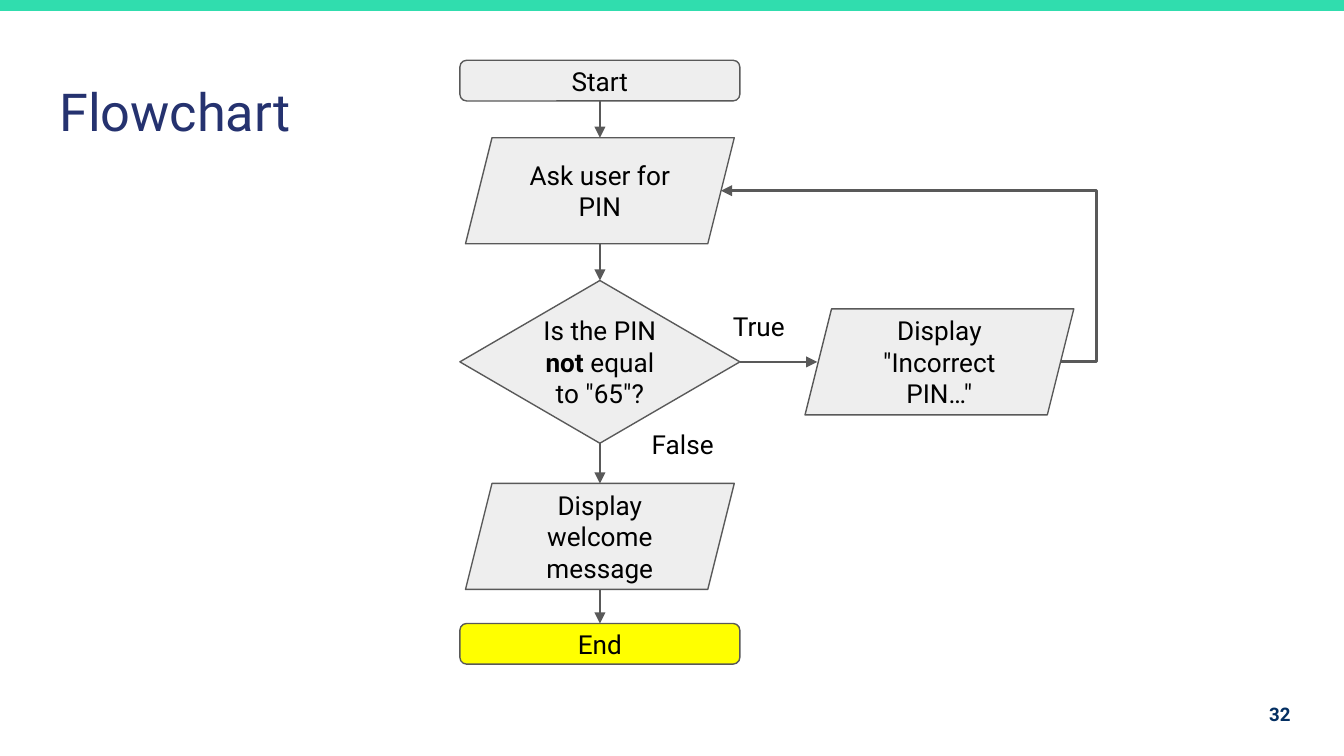
from lxml.etree import SubElement
from pptx import Presentation
from pptx.dml.color import RGBColor
from pptx.enum.shapes import MSO_CONNECTOR, MSO_SHAPE
from pptx.enum.text import MSO_ANCHOR, PP_ALIGN
from pptx.oxml.ns import qn
from pptx.util import Pt

TEAL = RGBColor(0x30, 0xDD, 0xAE)
INDIGO = RGBColor(0x25, 0x32, 0x6F)
NAVY = RGBColor(0x03, 0x2F, 0x62)
GREY = RGBColor(0xEE, 0xEE, 0xEE)
DARK = RGBColor(0x59, 0x59, 0x59)
YELLOW = RGBColor(0xFF, 0xFF, 0x00)
BLACK = RGBColor(0, 0, 0)

TITLE = {"size": Pt(28), "name": "Roboto", "bold": False}
BODY = {"size": Pt(14), "name": "Roboto", "bold": False}
BOLD = {**BODY, "bold": True}
NUMBER = {"size": Pt(10), "name": "Roboto", "bold": True}
FRAME = {"word_wrap": True, "margin_left": Pt(7.2), "margin_right": Pt(7.2),
         "margin_top": Pt(7.2), "margin_bottom": Pt(7.2)}

CENTER = 321.4
TERMINAL = (MSO_SHAPE.ROUNDED_RECTANGLE, 150, 21.8)
IN_OUT = (MSO_SHAPE.PARALLELOGRAM, 144, 56.8)
DECISION = (MSO_SHAPE.DIAMOND, 150, 87.2)


def apply(obj, values):
    """Set each attribute of obj from a dict."""
    for name, value in values.items():
        setattr(obj, name, value)


def write(sp, runs, color, align, anchor):
    """Fill a shape with one paragraph of (text, format) runs."""
    tf = sp.text_frame
    apply(tf, {**FRAME, "vertical_anchor": anchor})
    p = tf.paragraphs[0]
    p.alignment = align
    for text, values in runs:
        r = p.add_run()
        r.text = text
        apply(r.font, values)
        r.font.color.rgb = color


def add_title(s, text):
    """Place and format the title placeholder."""
    sp = s.shapes.title
    apply(sp, {"left": Pt(24.5), "top": Pt(35.3), "width": Pt(671), "height": Pt(45.4)})
    write(sp, [(text, TITLE)], INDIGO, PP_ALIGN.LEFT, MSO_ANCHOR.TOP)


def add_bar(s):
    """Draw the band along the top edge."""
    sp = s.shapes.add_shape(MSO_SHAPE.RECTANGLE, Pt(-0.7), 0, Pt(721.4), Pt(5.8))
    sp.shadow.inherit = False
    sp.fill.solid()
    sp.fill.fore_color.rgb = TEAL
    sp.line.fill.background()


def add_step(s, kind, top, runs, center=CENTER, fill=GREY):
    """Draw one flowchart step centred on a vertical axis."""
    shape, width, height = kind
    sp = s.shapes.add_shape(shape, Pt(center - width / 2), Pt(top), Pt(width), Pt(height))
    sp.shadow.inherit = False
    sp.fill.solid()
    sp.fill.fore_color.rgb = fill
    apply(sp.line, {"width": Pt(0.75)})
    sp.line.color.rgb = DARK
    write(sp, runs, BLACK, PP_ALIGN.CENTER, MSO_ANCHOR.MIDDLE)
    return sp


def add_label(s, box, runs, color=BLACK, align=PP_ALIGN.LEFT, anchor=MSO_ANCHOR.TOP):
    """Add a free text box."""
    sp = s.shapes.add_textbox(*map(Pt, box))
    write(sp, runs, color, align, anchor)


def add_arrow(s, start, end, begin=None, finish=None, bend=None):
    """Draw an arrow, joined to (shape, site) pairs, bent if bend is given."""
    kind = MSO_CONNECTOR.STRAIGHT if bend is None else MSO_CONNECTOR.ELBOW
    cx = s.shapes.add_connector(kind, *map(Pt, start + end))
    if begin:
        cx.begin_connect(*begin)
    if finish:
        cx.end_connect(*finish)
    cx.line.width = Pt(1.5)
    cx.line.color.rgb = DARK
    props = cx._element.spPr
    SubElement(props.find(qn("a:ln")), qn("a:tailEnd"), type="triangle")
    SubElement(props, qn("a:effectLst"))
    if bend is not None:
        guides = props.find(qn("a:prstGeom")).get_or_add_avLst()
        SubElement(guides, qn("a:gd"), name="adj1", fmla=f"val {bend}")


def add_flow(s):
    """Draw the steps, their arrows and the branch labels."""
    start = add_step(s, TERMINAL, 32.3, [("Start", BODY)])
    add_step(s, IN_OUT, 73.8, [("Ask user for PIN", BODY)])
    check = add_step(s, DECISION, 150.3, [
        ("Is the PIN ", BODY), ("not", BOLD), (' equal to "65"?', BODY)])
    add_step(s, IN_OUT, 165.5, [('Display "Incorrect PIN…"', BODY)], center=503.3)
    add_step(s, IN_OUT, 259, [("Display welcome message", BODY)])
    end = add_step(s, TERMINAL, 334, [("End", BODY)], fill=YELLOW)

    for top, bottom, begin, finish in [
            (54.1, 73.8, (start, 2), None),
            (130.6, 150.3, None, (check, 0)),
            (237.5, 259, (check, 2), None),
            (315.8, 334, None, (end, 0))]:
        add_arrow(s, (CENTER, top), (CENTER, bottom), begin, finish)
    add_arrow(s, (396.4, 193.9), (437.8, 193.9), begin=(check, 3))
    add_arrow(s, (568.2, 193.9), (386.3, 102.2), bend=-10500)

    for text, left, top in [("True", 385.5, 159), ("False", 342, 222.4)]:
        add_label(s, (left, top, 51, 34.6), [(text, BODY)])


def main():
    """Build and save the slide."""
    prs = Presentation()
    apply(prs, {"slide_width": Pt(720), "slide_height": Pt(405)})
    s = prs.slides.add_slide(prs.slide_layouts[5])
    add_bar(s)
    add_title(s, "Flowchart")
    add_flow(s)
    add_label(s, (655.2, 367.2, 43.2, 31), [("32", NUMBER)], NAVY,
              PP_ALIGN.RIGHT, MSO_ANCHOR.MIDDLE)
    prs.save("out.pptx")


if __name__ == "__main__":
    main()
